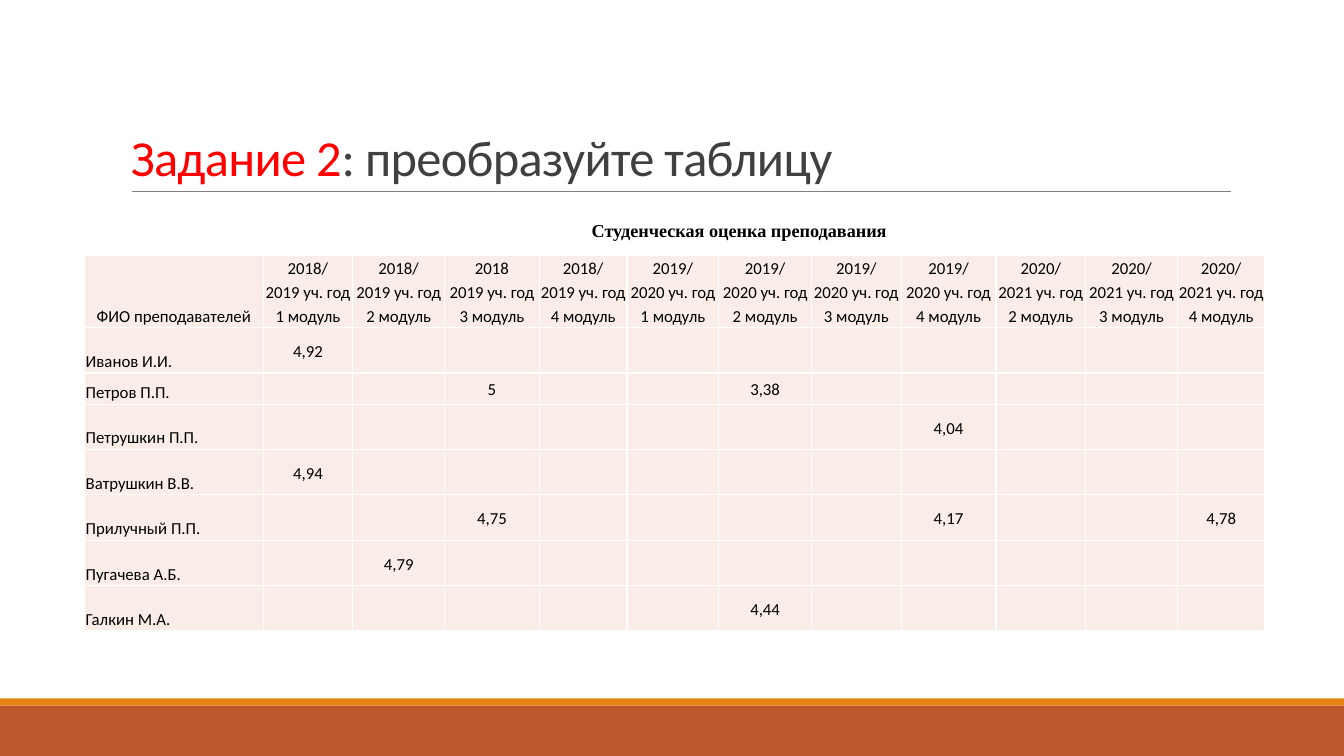
from lxml import etree
from pptx import Presentation
from pptx.dml.color import RGBColor
from pptx.enum.shapes import MSO_CONNECTOR, MSO_SHAPE
from pptx.enum.text import MSO_ANCHOR, PP_ALIGN
from pptx.oxml.ns import qn
from pptx.util import Inches, Pt

RECT, LINE = MSO_SHAPE.RECTANGLE, MSO_CONNECTOR.STRAIGHT
MIDDLE, BOTTOM = MSO_ANCHOR.MIDDLE, MSO_ANCHOR.BOTTOM
LEFT, CENTER, JUSTIFY = PP_ALIGN.LEFT, PP_ALIGN.CENTER, PP_ALIGN.JUSTIFY
RUST, AMBER = RGBColor(0xBD, 0x58, 0x2C), RGBColor(0xE4, 0x83, 0x12)
RED, DARK = RGBColor(0xFF, 0, 0), RGBColor(0x40, 0x40, 0x40)
BLACK, GRAY = RGBColor(0, 0, 0), RGBColor(0x80, 0x80, 0x80)
PINK = RGBColor(0xFA, 0xED, 0xE7)

TITLE = [("Задание 2", RED), (": преобразуйте таблицу", DARK)]
CAPTION = "Студенческая оценка преподавания"
CORNER = "ФИО преподавателей"
TERMS = [
    ("2018/", 2019, 1), ("2018/", 2019, 2), ("2018", 2019, 3), ("2018/", 2019, 4),
    ("2019/", 2020, 1), ("2019/", 2020, 2), ("2019/", 2020, 3), ("2019/", 2020, 4),
    ("2020/", 2021, 2), ("2020/", 2021, 3), ("2020/", 2021, 4),
]
# Teacher and marks by column number
MARKS = [
    ("Иванов И.И.", {1: "4,92"}),
    ("Петров П.П.", {3: "5", 6: "3,38"}),
    ("Петрушкин П.П.", {8: "4,04"}),
    ("Ватрушкин В.В.", {1: "4,94"}),
    ("Прилучный П.П.", {3: "4,75", 8: "4,17", 11: "4,78"}),
    ("Пугачева А.Б.", {2: "4,79"}),
    ("Галкин М.А.", {6: "4,44"}),
]
WIDTHS = [1.77, 0.89, 0.91, 0.94, 0.87, 0.91, 0.92, 0.89, 0.94, 0.89, 0.91, 0.87]
HEIGHTS = [0.72, 0.45, 0.31] + [0.45] * 5
BANDS = [(7, 0.5, RUST), (6.93, 0.07, AMBER)]


def add_band(slide, top, height, color):
    band = slide.shapes.add_shape(RECT, 0, Inches(top), Inches(13.33), Inches(height))
    band.shadow.inherit = False
    band.fill.solid()
    band.fill.fore_color.rgb = color
    band.line.fill.background()


def add_rule(slide):
    rule = slide.shapes.add_connector(LINE, Inches(1.31), Inches(1.9), Inches(12.21), Inches(1.9))
    rule.line.color.rgb = GRAY
    rule.line.width = Pt(0.5)
    etree.SubElement(rule._element.spPr, qn("a:effectLst"))


def add_box(slide, left, top, width, height, anchor):
    box = slide.shapes.add_textbox(Inches(left), Inches(top), Inches(width), Inches(height))
    frame = box.text_frame
    frame.word_wrap = True
    frame.vertical_anchor = anchor
    return frame.paragraphs[0]


def add_title(slide):
    para = add_box(slide, 1.2, 0.31, 11, 1.59, BOTTOM)
    para.alignment = LEFT
    para.line_spacing = 0.85
    para.font.size = Pt(36)
    para.font.name = "Calibri"
    for text, color in TITLE:
        run = para.add_run()
        run.text = text
        run.font.color.rgb = color
        run.font._element.set("spc", "-50")


def add_caption(slide):
    para = add_box(slide, 5.77, 2.12, 5.69, 0.32, MIDDLE)
    para.text = CAPTION
    para.alignment = JUSTIFY
    para.font.size = Pt(13)
    para.font.name = "Times New Roman"
    para.font.bold = True
    para.font.color.rgb = BLACK


def add_borders(cell):
    props = cell._tc.get_or_add_tcPr()
    for side in ("lnL", "lnR", "lnT", "lnB"):
        line = etree.SubElement(props, qn("a:" + side), w=str(Pt(1)))
        fill = etree.SubElement(line, qn("a:solidFill"))
        etree.SubElement(fill, qn("a:srgbClr"), val="FFFFFF")


def fill_cell(cell, text, align, anchor):
    add_borders(cell)
    cell.fill.solid()
    cell.fill.fore_color.rgb = PINK
    cell.margin_left = cell.margin_right = Inches(0.01)
    cell.margin_top = cell.margin_bottom = Inches(0.01)
    cell.vertical_anchor = anchor
    cell.text_frame.text = text
    for para in cell.text_frame.paragraphs:
        para.alignment = align
        para.line_spacing = 1.15
        para.font.size = Pt(12)
        para.font.name = "Calibri"
        para.font.color.rgb = BLACK


def add_marks(slide):
    heads = [CORNER] + [f"{start}\n{end} уч. год {part} модуль" for start, end, part in TERMS]
    rows = [heads] + [
        [name] + [marks.get(col, "") for col in range(1, len(heads))] for name, marks in MARKS
    ]
    table = slide.shapes.add_table(
        len(rows), len(heads), Inches(0.84), Inches(2.53),
        Inches(sum(WIDTHS)), Inches(sum(HEIGHTS)),
    ).table
    for col, width in zip(table.columns, WIDTHS):
        col.width = Inches(width)
    for row, height in zip(table.rows, HEIGHTS):
        row.height = Inches(height)
    for r, row in enumerate(rows):
        for c, text in enumerate(row):
            align = JUSTIFY if r and not c else CENTER
            anchor = MIDDLE if r and c else BOTTOM
            fill_cell(table.cell(r, c), text, align, anchor)


def main():
    prs = Presentation()
    prs.slide_width, prs.slide_height = Inches(13.33), Inches(7.5)
    slide = prs.slides.add_slide(prs.slide_layouts[6])
    for band in BANDS:
        add_band(slide, *band)
    add_rule(slide)
    add_title(slide)
    add_marks(slide)
    add_caption(slide)
    prs.save("out.pptx")


if __name__ == "__main__":
    main()
